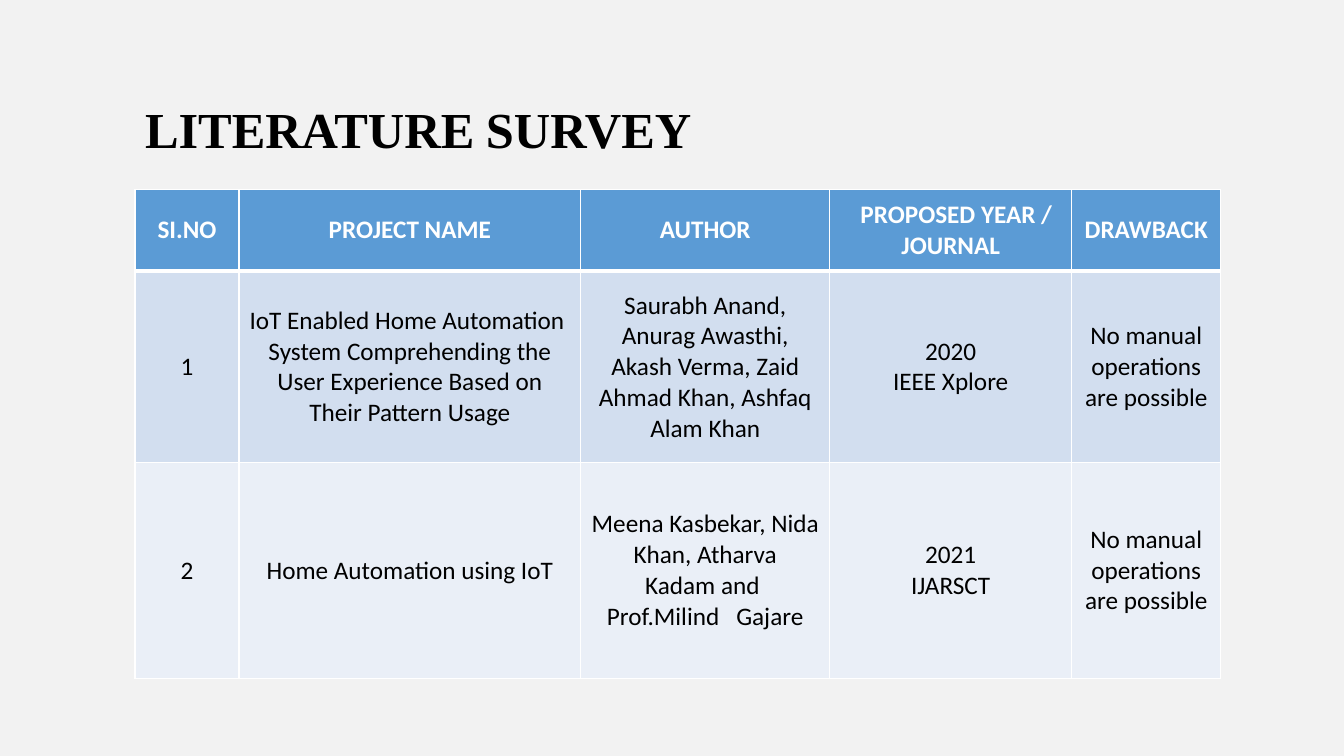
"""Build the literature survey slide: a title above a bordered table."""
from typing import NamedTuple

from lxml.etree import SubElement
from pptx import Presentation
from pptx.dml.color import RGBColor
from pptx.enum.text import MSO_ANCHOR, MSO_AUTO_SIZE, PP_ALIGN
from pptx.oxml.ns import qn
from pptx.util import Inches, Length, Pt

SLIDE_WIDTH = Inches(13.33)
SLIDE_HEIGHT = Inches(7.5)
COLOURS = {
    "page": "F2F2F2",
    "header": "5B9BD5",
    "odd": "D2DEEF",
    "even": "EAEFF7",
    "white": "FFFFFF",
    "black": "000000",
}
LEFT = 10.05
COLUMN_SHARES = (7.73, 25.43, 18.53, 18.0, 11.1)


class Span(NamedTuple):
    text: str
    size: int
    bold: bool


class SurveyRow(NamedTuple):
    share: float
    fill: str
    ink: str
    bold: bool
    rule_below: int
    texts: tuple[str, ...]


TITLE = (Span("LITERATURE", 36, True), Span(" ", 32, False), Span("SURVEY", 36, True))
ROWS = (
    SurveyRow(10.8, "header", "white", True, 3, (
        "SI.NO",
        "PROJECT NAME",
        "AUTHOR",
        "  PROPOSED YEAR /\nJOURNAL",
        "DRAWBACK",
    )),
    SurveyRow(25.33, "odd", "black", False, 1, (
        "1",
        "IoT Enabled Home Automation  System Comprehending "
        "the User Experience Based on Their Pattern Usage",
        "Saurabh Anand, Anurag Awasthi, Akash Verma, Zaid Ahmad Khan, Ashfaq Alam Khan",
        "2020\nIEEE Xplore",
        "No manual operations are possible",
    )),
    SurveyRow(28.53, "even", "black", False, 1, (
        "2",
        "Home Automation using IoT",
        "Meena Kasbekar, Nida Khan, Atharva\nKadam and  Prof.Milind   Gajare",
        "2021\nIJARSCT",
        "No manual operations are possible",
    )),
)


def across(percent: float) -> Length:
    """Turn a percentage of the slide width into a length."""
    return Length(round(SLIDE_WIDTH * percent / 100))


def down(percent: float) -> Length:
    """Turn a percentage of the slide height into a length."""
    return Length(round(SLIDE_HEIGHT * percent / 100))


def colour(name: str) -> RGBColor:
    """Look up a named colour."""
    return RGBColor.from_string(COLOURS[name])


def style(font, family: str, size: int, bold: bool, ink: str) -> None:
    """Set family, size, weight and colour of a font."""
    font.name = family
    font.size = Pt(size)
    font.bold = bold
    font.color.rgb = colour(ink)


def add_borders(cell, widths: dict[str, int]) -> None:
    """Draw white borders of the given point widths around a cell."""
    properties = cell._tc.get_or_add_tcPr()
    for side, width in widths.items():
        line = SubElement(properties, qn(f"a:ln{side}"), w=str(Pt(width)))
        fill = SubElement(line, qn("a:solidFill"))
        SubElement(fill, qn("a:srgbClr"), val=COLOURS["white"])


def fill_cell(cell, text: str, row: SurveyRow, rule_above: int) -> None:
    """Write and format one table cell."""
    add_borders(cell, {"L": 1, "R": 1, "T": rule_above, "B": row.rule_below})
    cell.fill.solid()
    cell.fill.fore_color.rgb = colour(row.fill)
    cell.vertical_anchor = MSO_ANCHOR.MIDDLE
    cell.text_frame.text = text
    for para in cell.text_frame.paragraphs:
        para.alignment = PP_ALIGN.CENTER
        for span in para.runs:
            style(span.font, "Calibri", 18, row.bold, row.ink)


def add_title(page) -> None:
    """Place the slide title."""
    box = page.shapes.add_textbox(across(LEFT), down(12.27), across(51.6), down(9.47))
    box.text_frame.word_wrap = True
    box.text_frame.auto_size = MSO_AUTO_SIZE.SHAPE_TO_FIT_TEXT
    para = box.text_frame.paragraphs[0]
    for part in TITLE:
        span = para.add_run()
        span.text = part.text
        style(span.font, "Times New Roman", part.size, part.bold, "black")


def add_survey(page) -> None:
    """Place the survey table."""
    table = page.shapes.add_table(
        len(ROWS), len(COLUMN_SHARES), across(LEFT), down(25.07),
        across(sum(COLUMN_SHARES)), down(sum(row.share for row in ROWS)),
    ).table
    for column, share in zip(table.columns, COLUMN_SHARES):
        column.width = across(share)
    rule_above = 1
    for row_index, row in enumerate(ROWS):
        table.rows[row_index].height = down(row.share)
        for column_index, text in enumerate(row.texts):
            fill_cell(table.cell(row_index, column_index), text, row, rule_above)
        rule_above = row.rule_below


def main() -> None:
    """Build and save the deck."""
    deck = Presentation()
    deck.slide_width = SLIDE_WIDTH
    deck.slide_height = SLIDE_HEIGHT
    page = deck.slides.add_slide(deck.slide_layouts[6])
    page.background.fill.solid()
    page.background.fill.fore_color.rgb = colour("page")
    add_survey(page)
    add_title(page)
    deck.save("out.pptx")


if __name__ == "__main__":
    main()
